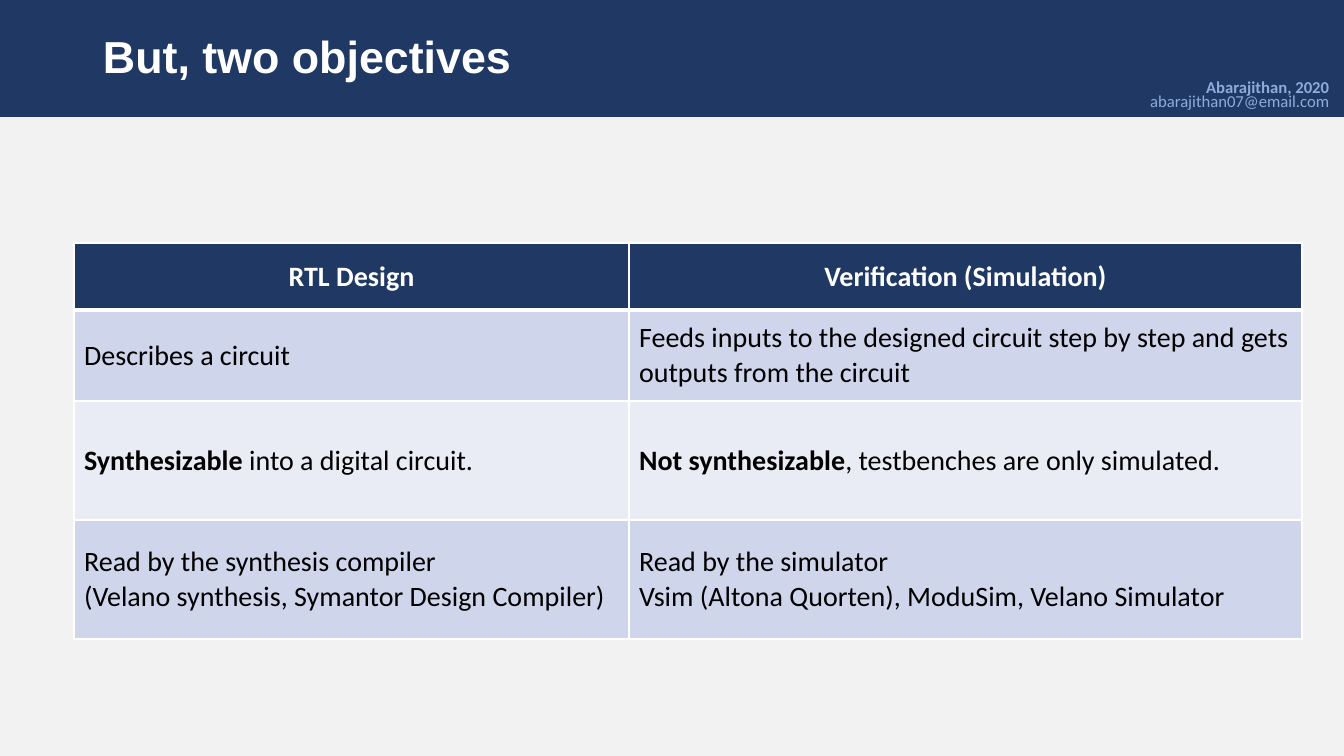
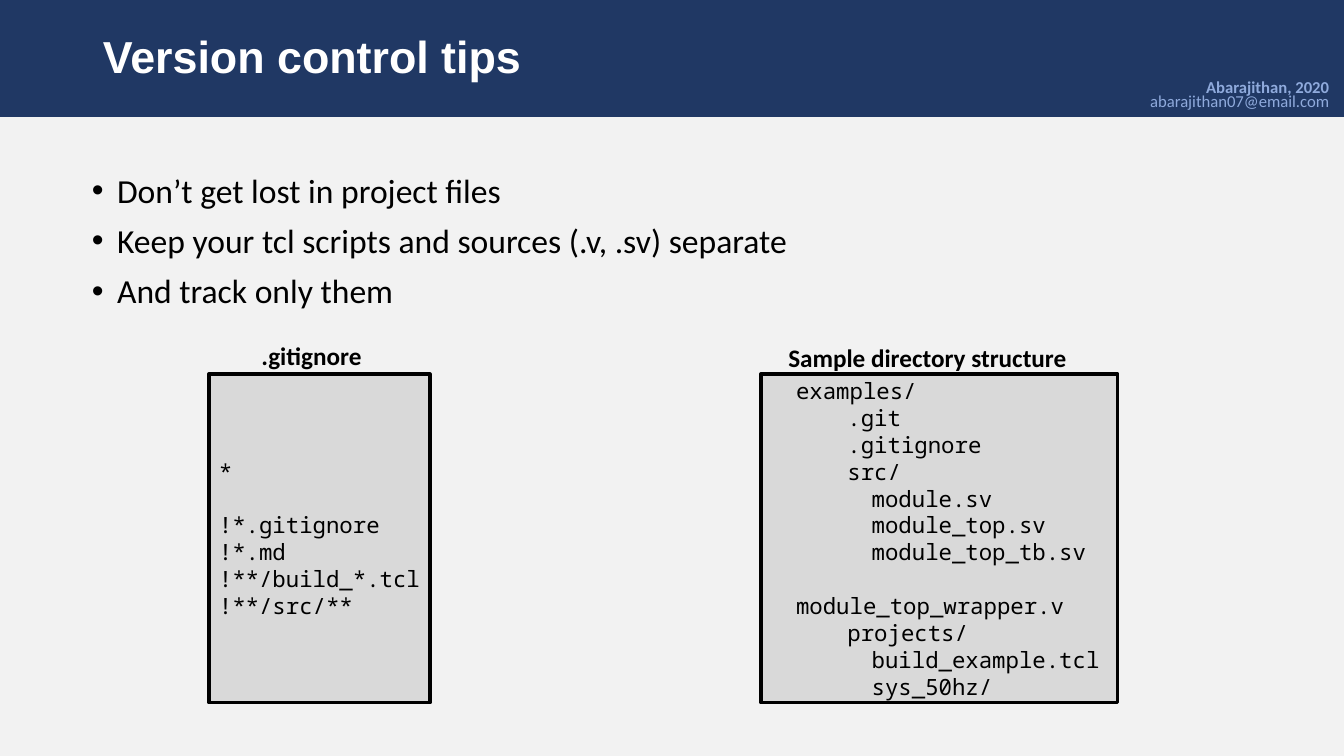
"""Build two slides on RTL design: a comparison table and version control tips."""
import lxml.etree
import pptx
import pptx.dml.color
import pptx.enum.shapes
import pptx.enum.text
import pptx.oxml.ns
import pptx.util

SCALE = pptx.util.Inches(7.5) / 756
COLORS = {
    "background": "F2F2F2", "navy": "203864", "white": "FFFFFF", "black": "000000",
    "credit": "8FAADC", "code": "D9D9D9", "odd": "CFD5EA", "even": "E9EBF5",
}
RGB = {name: pptx.dml.color.RGBColor.from_string(value) for name, value in COLORS.items()}
ALIGN = pptx.enum.text.PP_ALIGN
ANCHOR = pptx.enum.text.MSO_ANCHOR
qn = pptx.oxml.ns.qn


def add_box(slide, place, anchor=ANCHOR.TOP, fill=None, outline=None):
    """Add a text box, or a rectangle when a fill is given, and return its text frame."""
    left, top, width, height = [round(length * SCALE) for length in place]
    if fill:
        rectangle = pptx.enum.shapes.MSO_SHAPE.RECTANGLE
        shape = slide.shapes.add_shape(rectangle, left, top, width, height)
        shape.shadow.inherit = False
        shape.fill.solid()
        shape.fill.fore_color.rgb = RGB[fill]
        if outline:
            shape.line.color.rgb = RGB[outline]
            shape.line.width = pptx.util.Pt(2.25)
        else:
            shape.line.fill.background()
    else:
        shape = slide.shapes.add_textbox(left, top, width, height)
    shape.text_frame.word_wrap = True
    shape.text_frame.vertical_anchor = anchor
    return shape.text_frame


def write(frame, lines, size, color="black", font="Calibri", align=ALIGN.LEFT, spacing=None):
    """Write one paragraph per line, each line being a list of (text, bold) runs."""
    for index, line in enumerate(lines):
        paragraph = frame.add_paragraph() if index else frame.paragraphs[0]
        paragraph.alignment = align
        if spacing:
            paragraph.line_spacing = spacing
        for text, bold in line:
            run = paragraph.add_run()
            run.text = text
            run.font.size = pptx.util.Pt(size)
            run.font.name = font
            run.font.bold = bold
            run.font.color.rgb = RGB[color]
    return frame.paragraphs


presentation = pptx.Presentation()
presentation.slide_width = round(1344 * SCALE)
presentation.slide_height = round(756 * SCALE)

slides = []
for title in ("But, two objectives", "Version control tips"):
    slide = presentation.slides.add_slide(presentation.slide_layouts[6])
    slide.background.fill.solid()
    slide.background.fill.fore_color.rgb = RGB["background"]
    add_box(slide, (0, 0, 1344, 117), fill="navy")
    title_frame = add_box(slide, (93, 1, 1159, 117), ANCHOR.MIDDLE)
    write(title_frame, [[(title, True)]], 32, "white", "Arial", spacing=0.9)
    credit_frame = add_box(slide, (1062, 75, 277, 40), ANCHOR.BOTTOM)
    credit = [[("Abarajithan, 2020", True)], [("abarajithan07@email.com", False)]]
    write(credit_frame, credit, 11.9, "credit", align=ALIGN.RIGHT, spacing=0.7)
    slides.append(slide)
objectives_slide, tips_slide = slides

table_rows = [
    ([[("RTL Design", True)]],
     [[("Verification (Simulation)", True)]]),
    ([[("Describes a circuit", False)]],
     [[("Feeds inputs to the designed circuit step by step and gets "
        "outputs from the circuit", False)]]),
    ([[("Synthesizable ", True), ("into a digital circuit.", False)]],
     [[("Not synthesizable", True), (", testbenches are only simulated.", False)]]),
    ([[("Read by the synthesis compiler", False)],
      [("(Velano synthesis, Symantor Design Compiler)", False)]],
     [[("Read by the simulator", False)],
      [("Vsim (Altona Quorten), ModuSim, Velano Simulator", False)]]),
]
column_widths = (555, 673)
row_heights = (67, 91, 119, 119)
left, top, width, height = [
    round(length * SCALE) for length in (74, 243, sum(column_widths), sum(row_heights))]
table = objectives_slide.shapes.add_table(4, 2, left, top, width, height).table
table.horz_banding = False
for column, column_width in zip(table.columns, column_widths):
    column.width = round(column_width * SCALE)
for row_index, (row_height, row_texts) in enumerate(zip(row_heights, table_rows)):
    table.rows[row_index].height = round(row_height * SCALE)
    header = row_index == 0
    row_fill = "navy" if header else "odd" if row_index % 2 else "even"
    border_widths = {"L": 1, "R": 1, "T": 3 if row_index == 1 else 1, "B": 3 if header else 1}
    for column_index, lines in enumerate(row_texts):
        cell = table.cell(row_index, column_index)
        cell.vertical_anchor = ANCHOR.MIDDLE
        properties = cell._tc.get_or_add_tcPr()
        for side, points in border_widths.items():
            border = lxml.etree.SubElement(
                properties, qn("a:ln" + side), w=str(pptx.util.Pt(points)))
            solid = lxml.etree.SubElement(border, qn("a:solidFill"))
            lxml.etree.SubElement(solid, qn("a:srgbClr"), val=COLORS["white"])
        cell.fill.solid()
        cell.fill.fore_color.rgb = RGB[row_fill]
        write(cell.text_frame, lines, 20, "white" if header else "black",
              align=ALIGN.CENTER if header else ALIGN.LEFT)

tips = [
    "Don’t get lost in project files",
    "Keep your tcl scripts and sources (.v, .sv) separate",
    "And track only them",
]
tips_frame = add_box(tips_slide, (82, 169, 1159, 151))
tip_paragraphs = write(tips_frame, [[(tip, False)] for tip in tips], 24, spacing=0.9)
for index, paragraph in enumerate(tip_paragraphs):
    if index:
        paragraph.space_before = pptx.util.Pt(10)
    properties = paragraph._p.get_or_add_pPr()
    properties.set("marL", str(pptx.util.Inches(0.25)))
    properties.set("indent", str(-pptx.util.Inches(0.25)))
    lxml.etree.SubElement(properties, qn("a:buFont"), typeface="Arial")
    lxml.etree.SubElement(properties, qn("a:buChar"), char="•")

directory_tree = [
    (0, "examples/"),
    (1, ".git"),
    (1, ".gitignore"),
    (1, "src/"),
    (2, "module.sv"),
    (2, "module_top.sv"),
    (2, "module_top_tb.sv"),
    (2, "module_top_wrapper.v"),
    (1, "projects/"),
    (2, "build_example.tcl"),
    (2, "sys_50hz/"),
]
tree_lines = ["\t" * depth + name for depth, name in directory_tree]
ignore_lines = ["*", "!*.gitignore", "!*.md", "!**/build_*.tcl", "!**/src/**"]
listings = [
    ("Sample directory structure", (759, 337, 337, 40), (761, 374, 357, 329), tree_lines),
    (".gitignore", (208, 335, 207, 40), (209, 374, 221, 329), ignore_lines),
]
listing_paragraphs = []
for label, label_place, code_place, code_lines in listings:
    code_frame = add_box(tips_slide, code_place, ANCHOR.MIDDLE, "code", "black")
    code = [[(line, False)] for line in code_lines]
    listing_paragraphs.append(write(code_frame, code, 16, font="Noto Sans Mono"))
    label_frame = add_box(tips_slide, label_place)
    write(label_frame, [[(label, True)]], 18, align=ALIGN.CENTER)

tree_paragraphs, ignore_paragraphs = listing_paragraphs
ignore_paragraphs[1].space_before = pptx.util.Pt(19)
for paragraph in tree_paragraphs:
    properties = paragraph._p.get_or_add_pPr()
    properties.set("marL", str(pptx.util.Inches(0.25)))
    tab_list = lxml.etree.SubElement(properties, qn("a:tabLst"))
    for inches in (0.51, 0.75):
        position = str(pptx.util.Inches(inches))
        lxml.etree.SubElement(tab_list, qn("a:tab"), pos=position, algn="l")

presentation.save("out.pptx")
